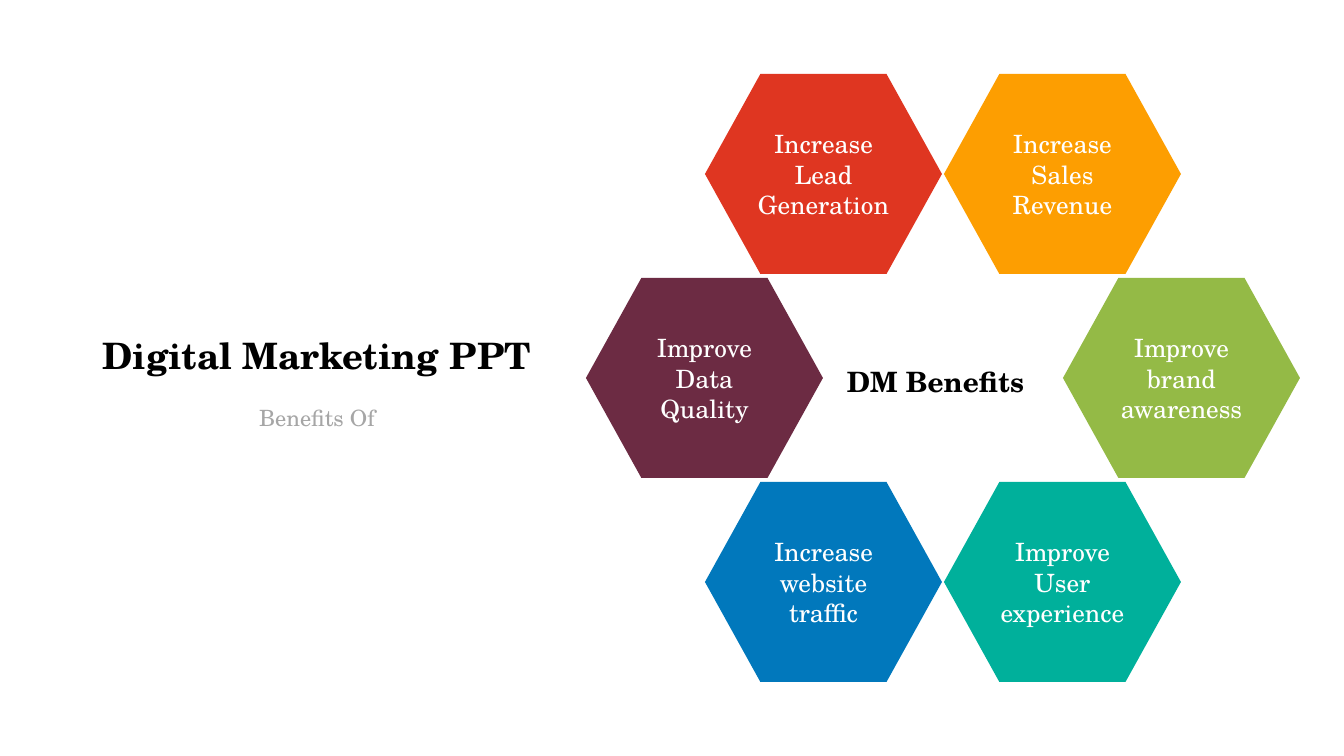
from dataclasses import dataclass

import pptx
import pptx.dml.color
import pptx.enum.shapes
import pptx.enum.text
import pptx.util

PX = 914400 / 100.8


@dataclass(frozen=True)
class Theme:
    font: str = "TeX Gyre Schola"
    ink: str = "000000"
    muted: str = "A6A6A6"
    on_fill: str = "FFFFFF"
    red: str = "DF3621"
    orange: str = "FD9E01"
    green: str = "94BA46"
    plum: str = "6C2B43"
    blue: str = "0178BC"
    teal: str = "00B09B"
    title_size: int = 26
    center_size: int = 20
    benefit_size: int = 18
    subtitle_size: int = 16


THEME = Theme()
HEXAGON_WIDTH, HEXAGON_HEIGHT = 237, 200
BENEFITS = [
    ("Increase Lead Generation", THEME.red, 0, 0),
    ("Increase Sales Revenue", THEME.orange, 0, 1),
    ("Improve brand awareness", THEME.green, 1, 1),
    ("Improve Data Quality", THEME.plum, 1, 0),
    ("Increase website traffic", THEME.blue, 2, 0),
    ("Improve User experience", THEME.teal, 2, 1),
]


def emu(*lengths):
    return [pptx.util.Emu(round(length * PX)) for length in lengths]


def rgb(code):
    return pptx.dml.color.RGBColor.from_string(code)


def write(shape, words, size, color, bold=False, anchor=pptx.enum.text.MSO_ANCHOR.TOP):
    frame = shape.text_frame
    frame.text = words
    frame.word_wrap = True
    frame.auto_size = pptx.enum.text.MSO_AUTO_SIZE.NONE
    frame.vertical_anchor = anchor
    paragraph = frame.paragraphs[0]
    paragraph.alignment = pptx.enum.text.PP_ALIGN.CENTER
    paragraph.space_before = pptx.util.Pt(0)
    font = paragraph.runs[0].font
    font.name = THEME.font
    font.size = pptx.util.Pt(size)
    font.bold = bold
    font.color.rgb = rgb(color)


def place(shape, left, top, width, height):
    shape.left, shape.top, shape.width, shape.height = emu(left, top, width, height)


def add_heading(slide, left, top, width):
    title = slide.shapes.title
    place(title, left, top, width, 54)
    write(title, "Digital Marketing PPT", THEME.title_size, THEME.ink, bold=True)
    subtitle = slide.placeholders[1]
    place(subtitle, left, top + 71, width, 37)
    write(subtitle, "Benefits Of", THEME.subtitle_size, THEME.muted)


def add_benefit_ring(slide, left, top, width, height):
    ring = slide.shapes.add_group_shape().shapes
    row_step = (height - HEXAGON_HEIGHT) // 2
    for words, color, row, side in BENEFITS:
        inset = 0 if row == 1 else 119
        x = left + width - HEXAGON_WIDTH - inset if side else left + inset
        hexagon = ring.add_shape(
            pptx.enum.shapes.MSO_SHAPE.HEXAGON,
            *emu(x, top + row * row_step, HEXAGON_WIDTH, HEXAGON_HEIGHT),
        )
        hexagon.adjustments[0] = 0.277
        hexagon.shadow.inherit = False
        hexagon.fill.solid()
        hexagon.fill.fore_color.rgb = rgb(color)
        hexagon.line.fill.background()
        write(hexagon, words, THEME.benefit_size, THEME.on_fill,
              anchor=pptx.enum.text.MSO_ANCHOR.MIDDLE)
    center = ring.add_textbox(*emu(left + 209, top + 286, 281, 44))
    write(center, "DM Benefits", THEME.center_size, THEME.ink, bold=True)


def main():
    presentation = pptx.Presentation()
    presentation.slide_width, presentation.slide_height = emu(1344, 756)
    slide = presentation.slides.add_slide(presentation.slide_layouts[0])
    add_heading(slide, 43, 328, 548)
    add_benefit_ring(slide, 586, 74, 714, 608)
    presentation.save("out.pptx")


if __name__ == "__main__":
    main()
